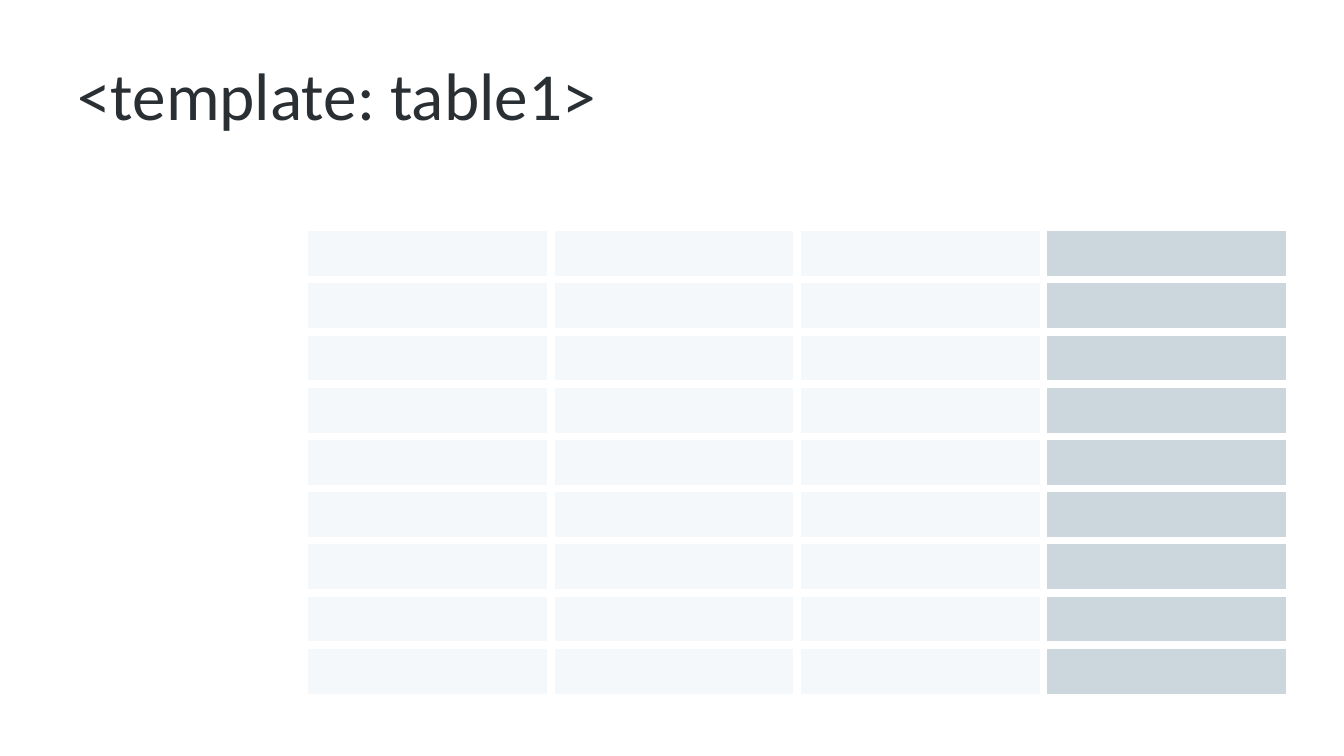
from dataclasses import dataclass

from lxml.etree import SubElement
from pptx import Presentation
from pptx.dml.color import RGBColor as RGB
from pptx.enum.text import MSO_ANCHOR as Anchor
from pptx.oxml.ns import qn
from pptx.slide import Slide
from pptx.table import _Cell as Cell
from pptx.util import Emu, Pt

PX = 9144  # EMU per px, 100 px to the inch


@dataclass(frozen=True)
class Theme:
    font: str = "Calibri"
    title_size: int = 48
    ink: str = "292F33"
    border: str = "FFFFFF"
    body: str = "F5F8FA"
    total: str = "CCD6DD"
    thick: int = 6
    thin: int = 1


@dataclass(frozen=True)
class Box:
    x: int
    y: int
    w: int
    h: int

    def emu(self) -> tuple[Emu, ...]:
        return tuple(px(v) for v in (self.x, self.y, self.w, self.h))


@dataclass(frozen=True)
class Borders:
    left: int
    right: int
    top: int
    bottom: int


THEME = Theme()
TITLE = Box(67, 30, 1200, 125)
GRID = Box(58, 174, 1221, 518)
ROWS, COLS = 10, 5


def px(value: float) -> Emu:
    return Emu(round(value * PX))


def add_title(s: Slide, text: str, box: Box) -> None:
    tf = s.shapes.add_textbox(*box.emu()).text_frame
    tf.word_wrap = True
    tf.vertical_anchor = Anchor.MIDDLE
    p = tf.paragraphs[0]
    p.text = text
    font = p.runs[0].font
    font.name = THEME.font
    font.size = Pt(THEME.title_size)
    font.color.rgb = RGB.from_string(THEME.ink)


def set_borders(cell: Cell, borders: Borders) -> None:
    tc_pr = cell._tc.get_or_add_tcPr()
    sides = {"L": borders.left, "R": borders.right, "T": borders.top, "B": borders.bottom}
    for side, width in sides.items():
        ln = SubElement(tc_pr, qn(f"a:ln{side}"), w=str(Pt(width)))
        fill = SubElement(ln, qn("a:solidFill"))
        SubElement(fill, qn("a:srgbClr"), val=THEME.border)


def borders_at(row: int, col: int) -> Borders:
    thick, thin = THEME.thick, THEME.thin
    if row == 0 or col > 0:
        return Borders(thick, thick, thick, thick)
    return Borders(thin, thick, thick if row == 1 else thin, thin)


def add_grid(s: Slide, box: Box) -> None:
    table = s.shapes.add_table(ROWS, COLS, *box.emu()).table
    table.first_row = table.horz_banding = False
    for column in table.columns:
        column.width = px(box.w / COLS)
    for r, row in enumerate(table.rows):
        row.height = px(box.h / ROWS)
        for c, cell in enumerate(row.cells):
            set_borders(cell, borders_at(r, c))
            # Header row and label column stay clear
            if r == 0 or c == 0:
                cell.fill.background()
                continue
            cell.fill.solid()
            color = THEME.total if c == COLS - 1 else THEME.body
            cell.fill.fore_color.rgb = RGB.from_string(color)


def main() -> None:
    prs = Presentation()
    prs.slide_width, prs.slide_height = px(1333), px(750)
    s = prs.slides.add_slide(prs.slide_layouts[6])

    # Table
    add_grid(s, GRID)

    # Title
    add_title(s, "<template: table1>", TITLE)

    prs.save("out.pptx")


if __name__ == "__main__":
    main()
